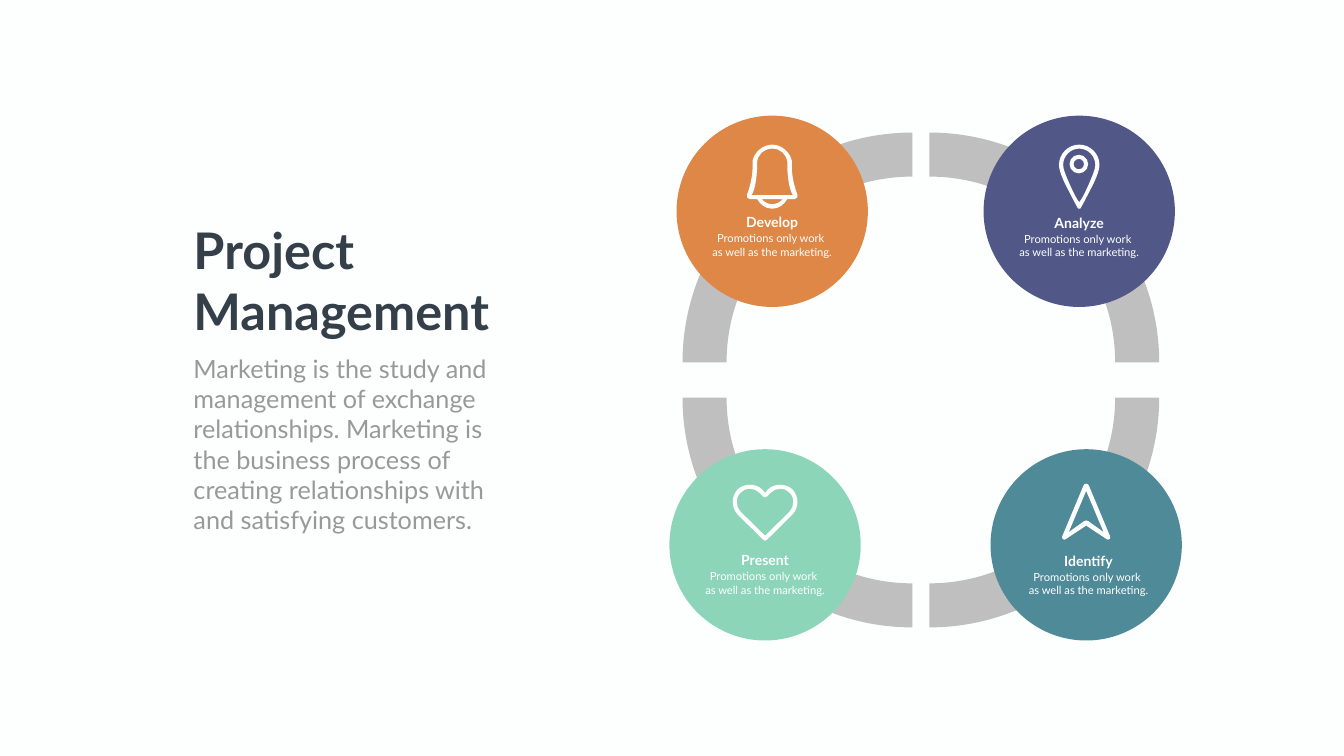
from lxml import etree
from pptx import Presentation
from pptx.dml.color import RGBColor
from pptx.enum.shapes import MSO_SHAPE
from pptx.enum.text import PP_ALIGN
from pptx.oxml.ns import qn
from pptx.util import Cm, Pt

OVAL, DONUT = MSO_SHAPE.OVAL, MSO_SHAPE.DONUT
LEFT, CENTER = PP_ALIGN.LEFT, PP_ALIGN.CENTER

COLORS = {
    "paper": "FDFFFE", "title": "353F49", "body": "989998", "ring": "808080",
    "orange": "DE8747", "indigo": "515888", "teal": "4F8A99", "mint": "8DD5B9",
}

# Right halves of the icons in cm, measured from the top of the vertical axis.
# Two numbers are a corner; six are a cubic curve (two controls and an end).
BELL = [
    [(0, 0), (.46, 0, .89, .36, .99, .81), (.99, 1.19),
     (.99, 1.6, 1.14, 2.21, 1.27, 2.51), (1.31, 2.6, 1.27, 2.74, 1.14, 2.74),
     (.76, 2.74), (.61, 3, .36, 3.23, 0, 3.23)],
    [(0, .2), (.41, .2, .71, .48, .76, .86), (.76, 1.19),
     (.79, 1.7, .86, 2.26, 1.04, 2.54), (0, 2.54)],
    [(0, 2.74), (.53, 2.74), (.41, 2.9, .2, 3, 0, 3)],
]
PIN = [
    [(0, 0), (.56, 0, 1.02, .46, 1.02, 1.02), (1.02, 1.27, .86, 1.73, .54, 2.31),
     (.31, 2.77, .1, 3.15, .1, 3.15), (.05, 3.23), (0, 3.23)],
    [(0, .2), (.43, .2, .81, .56, .81, 1.02), (.81, 1.2, .71, 1.5, .37, 2.24),
     (.24, 2.51, .13, 2.74, 0, 2.9)],
]
HEART = [
    [(0, .41), (.15, .23), (.3, .08, .53, 0, .76, 0), (1, 0, 1.22, .08, 1.38, .23),
     (1.54, .41, 1.63, .64, 1.63, .86), (1.63, 1.12, 1.54, 1.32, 1.38, 1.5),
     (.08, 2.79), (0, 2.82)],
    [(0, .64), (.08, .61), (.28, .41), (.41, .28, .58, .2, .76, .2),
     (.97, .2, 1.12, .28, 1.24, .41), (1.37, .51, 1.42, .71, 1.42, .86),
     (1.42, 1.04, 1.37, 1.22, 1.24, 1.35), (0, 2.57)],
]
ARROW = [
    [(0, 0), (.08, .02), (.13, .08), (1.21, 2.66), (1.2, 2.77), (1.1, 2.82),
     (1.03, 2.79), (0, 2.11)],
    [(0, .36), (.88, 2.44), (.1, 1.88), (0, 1.85)],
]

CIRCLE = 9.64
# left, top, colour, icon, icon drop, label, label shift, label drop
STAGES = [
    (49.56, 5.83, "indigo", PIN, 1.46, "Analyze", 0, 4.84),
    (49.91, 22.64, "teal", ARROW, 1.74, "Identify", .12, 5.07),
    (34.09, 5.83, "orange", BELL, 1.46, "Develop", 0, 4.81),
    (33.73, 22.64, "mint", HEART, 1.79, "Present", 0, 5.05),
]


def mirrored(half):
    """Close a right half that starts and ends on the axis with its reflection."""
    steps = list(half)
    for before, step in zip(reversed(half[:-1]), reversed(half[1:])):
        end_x, end_y = before[-2:]
        if len(step) == 2:
            steps.append((-end_x, end_y))
        else:
            x1, y1, x2, y2 = step[:4]
            steps.append((-x2, y2, -x1, y1, -end_x, end_y))
    return steps


class Slide:
    def __init__(self, deck, font):
        self.page = deck.slides.add_slide(deck.slide_layouts[6])
        self.font = font
        fill = self.page.background.fill
        fill.solid()
        fill.fore_color.rgb = RGBColor.from_string(COLORS["paper"])

    def paint(self, shape, color, opacity=100):
        shape.shadow.inherit = False
        shape.fill.solid()
        shape.fill.fore_color.rgb = RGBColor.from_string(COLORS[color])
        shape.line.fill.background()
        if opacity < 100:
            tone = shape.fill._xPr.find(".//" + qn("a:srgbClr"))
            etree.SubElement(tone, qn("a:alpha"), val=str(opacity * 1000))

    def preset(self, kind, left, top, size, color):
        shape = self.page.shapes.add_shape(kind, Cm(left), Cm(top), Cm(size), Cm(size))
        self.paint(shape, color)
        return shape

    def outline(self, contours, x, y, color, opacity=100):
        """Draw closed contours, given in cm from (x, y), as one shape.

        Curves are first laid out as lines through their control points;
        each such group of three is then merged into one cubic curve.
        """
        builder = None
        for contour in contours:
            points = [(Cm(x + step[i]), Cm(y + step[i + 1]))
                      for step in contour for i in range(0, len(step), 2)]
            if builder is None:
                builder = self.page.shapes.build_freeform(*points[0])
            else:
                builder.move_to(*points[0])
            builder.add_line_segments(points[1:], close=True)
        shape = builder.convert_to_shape()
        lines = iter(list(shape._element.iter(qn("a:lnTo"))))
        for step in (step for contour in contours for step in contour[1:]):
            first = next(lines)
            if len(step) == 6:
                curve = etree.Element(qn("a:cubicBezTo"))
                first.addprevious(curve)
                for line in (first, next(lines), next(lines)):
                    curve.append(line[0])
                    line.getparent().remove(line)
        self.paint(shape, color, opacity)

    def quarter_ring(self, x, y, side_x, side_y, outer=11.58, inner=9.36):
        bend = .55
        contour = [
            (inner, 0), (outer, 0),
            (outer, bend * outer, bend * outer, outer, 0, outer), (0, inner),
            (bend * inner, inner, inner, bend * inner, inner, 0),
        ]
        sides = (side_x, side_y)
        contour = [tuple(v * sides[i % 2] for i, v in enumerate(step)) for step in contour]
        self.outline([contour], x, y, "ring", 50)

    def text(self, lines, left, top, width, height, size, color, bold=False, align=LEFT):
        box = self.page.shapes.add_textbox(Cm(left), Cm(top), Cm(width), Cm(height))
        frame = box.text_frame
        frame.word_wrap = True
        frame.text = "\n".join(lines)
        for para in frame.paragraphs:
            para.alignment = align
            para.font.name = self.font
            para.font.size = Pt(size)
            para.font.bold = bold
            para.font.color.rgb = RGBColor.from_string(COLORS[color])

    def caption(self, label, center, top):
        self.text([label], center - 2.15, top, 4.3, 1.12, 20, "paper", True, CENTER)
        self.text(["Promotions only work ", "as well as the marketing."],
                  center - 3.32, top + .9, 6.64, 1.63, 16, "paper", align=CENTER)


def main():
    deck = Presentation()
    deck.slide_width, deck.slide_height = Cm(67.72), Cm(38.1)
    slide = Slide(deck, "Lato")

    for y, side_y in ((18.26, -1), (20.04, 1)):
        for x, side_x in ((46.83, 1), (45.97, -1)):
            slide.quarter_ring(x, y, side_x, side_y)

    for left, top, color, *_ in STAGES:
        slide.preset(OVAL, left, top, CIRCLE, color)

    for left, top, _, icon, icon_drop, label, shift, label_drop in STAGES:
        center = left + CIRCLE / 2
        slide.outline([mirrored(half) for half in icon], center, top + icon_drop, "paper")
        if icon is PIN:
            eye = slide.preset(DONUT, center - .49, top + icon_drop + .51, .94, "paper")
            eye.adjustments[0] = .22
        slide.caption(label, center + shift, top + label_drop)

    slide.text(["Project", "Management"], 9.5, 10.92, 15.75, 6.4, 72, "title", bold=True)
    slide.text(["Marketing is the study and management of exchange relationships. "
                "Marketing is the business process of creating relationships with "
                "and satisfying customers."], 9.5, 17.68, 16.61, 9.5, 36, "body")
    deck.save("out.pptx")


if __name__ == "__main__":
    main()
